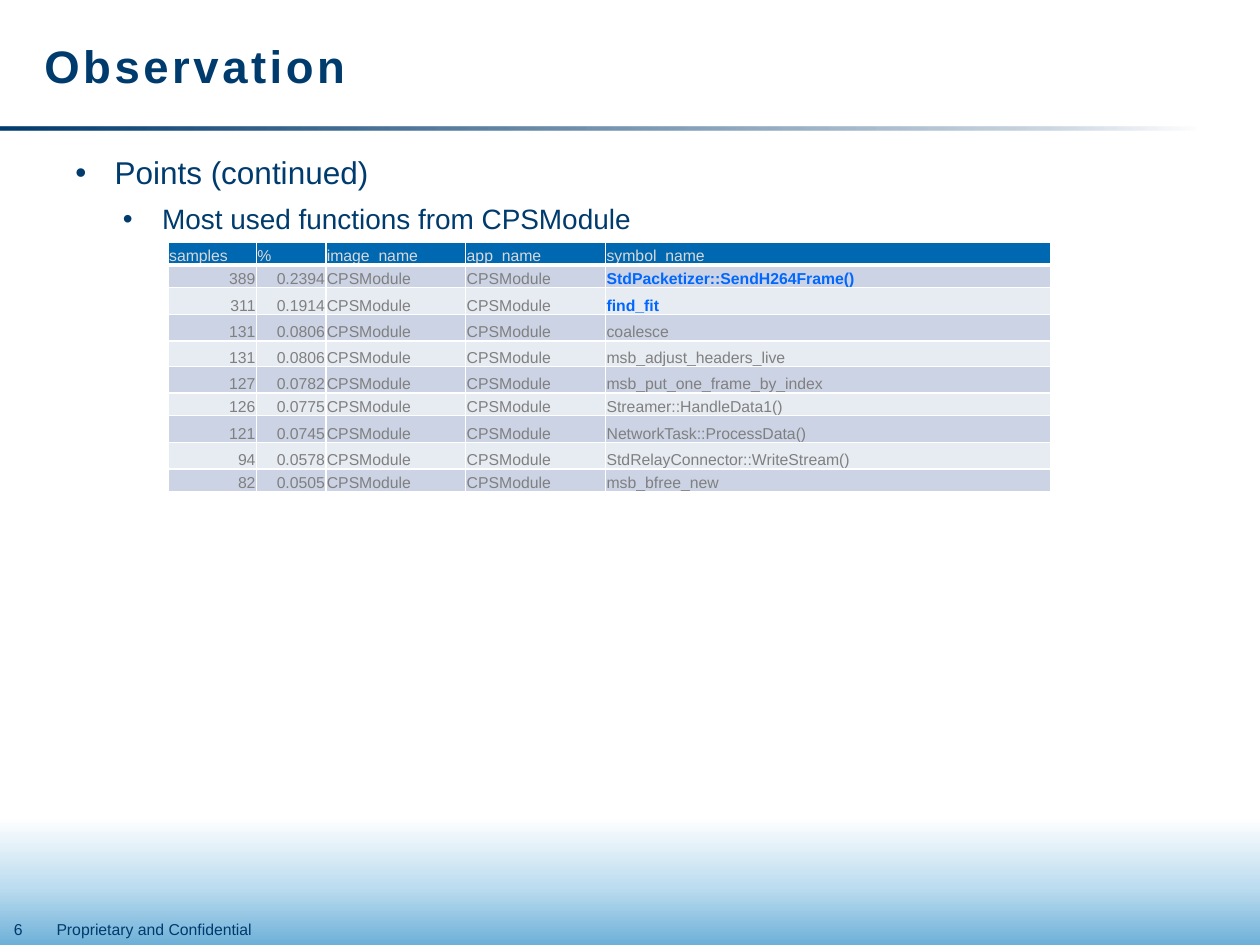
from dataclasses import dataclass

from lxml.etree import SubElement as Sub
from pptx import Presentation as Deck
from pptx.dml.color import RGBColor as RGB
from pptx.enum.shapes import MSO_SHAPE as Kind
from pptx.enum.text import MSO_ANCHOR as Anchor, MSO_AUTO_SIZE as Fit, PP_ALIGN as Align
from pptx.oxml import parse_xml as make
from pptx.oxml.ns import nsdecls, qn
from pptx.util import Cm, Pt


@dataclass(frozen=True)
class Theme:
    font: str = "Arial"
    navy: str = "003B6E"
    white: str = "FFFFFF"
    sky: str = "6EB0D8"
    mist: str = "BCDCEF"
    head: str = "0067B1"
    label: str = "D9D9D9"
    body: str = "808080"
    accent: str = "0067FF"
    bands: tuple = ("CCD3E4", "E7EBF2")
    title: int = 26
    point: int = 18
    detail: int = 16
    small: int = 9


class Page:
    def __init__(self, slide, theme):
        self.slide, self.theme = slide, theme
        self.shapes = slide.shapes
        fill = slide.background.fill
        fill.solid()
        fill.fore_color.rgb = RGB.from_string(theme.white)

    def run(self, para, text, size, color=None, bold=False):
        run = para.add_run()
        run.text = text
        font = run.font
        font.name, font.size, font.bold = self.theme.font, Pt(size), bold
        font.color.rgb = RGB.from_string(color or self.theme.navy)
        return run

    def title(self, text, *area):
        shape = self.shapes.title
        shape.left, shape.top, shape.width, shape.height = map(Cm, area)
        frame = shape.text_frame
        frame.auto_size, frame.vertical_anchor = Fit.NONE, Anchor.MIDDLE
        para = frame.paragraphs[0]
        para.alignment, para.line_spacing = Align.LEFT, Pt(30)
        run = self.run(para, text, self.theme.title, bold=True)
        run.font._element.set("spc", "200")

    def fade(self, area, stops, angle):
        """Add a rectangle with a gradient; each stop is (percent, color, opacity)."""
        shape = self.shapes.add_shape(Kind.RECTANGLE, *map(Cm, area))
        shape.shadow.inherit = False
        shape.line.fill.background()
        grad = make(f'<a:gradFill {nsdecls("a")} rotWithShape="1"/>')
        marks = Sub(grad, qn("a:gsLst"))
        for place, color, alpha in stops:
            mark = Sub(marks, qn("a:gs"), pos=str(place * 1000))
            tone = Sub(mark, qn("a:srgbClr"), val=color)
            if alpha < 100:
                Sub(tone, qn("a:alpha"), val=str(alpha * 1000))
        Sub(grad, qn("a:lin"), ang=str(angle * 60000), scaled="0")
        shape._element.spPr.find(qn("a:prstGeom")).addnext(grad)

    def box(self, area, wrap=True):
        frame = self.shapes.add_textbox(*map(Cm, area)).text_frame
        frame.word_wrap = wrap
        return frame

    def note(self, text, area, wrap=True):
        para = self.box(area, wrap).paragraphs[0]
        self.run(para, text, self.theme.small)

    def points(self, items, area):
        """Add bulleted lines; each item is (text, size, level, indent in cm)."""
        frame = self.box(area)
        for i, (text, size, level, left) in enumerate(items):
            para = frame.add_paragraph() if i else frame.paragraphs[0]
            para.level, para.space_before = level, Pt(6)
            props = para._p.get_or_add_pPr()
            props.set("marL", str(Cm(left)))
            props.set("indent", str(-Cm(0.79)))
            Sub(props, qn("a:buFont"), typeface=self.theme.font)
            Sub(props, qn("a:buChar"), char="•")
            self.run(para, text, size)

    def edge(self, cell, head):
        """Draw white cell borders, with a thick one under the header."""
        props = cell._tc.get_or_add_tcPr()
        for i, side in enumerate("LRTB"):
            width = Pt(3 if head and side == "B" else 1)
            props.insert(i, make(
                f'<a:ln{side} {nsdecls("a")} w="{width}"><a:solidFill>'
                f'<a:srgbClr val="{self.theme.white}"/></a:solidFill></a:ln{side}>'))

    def cell(self, cell, text, fill, color, bold, right, head):
        cell.fill.solid()
        cell.fill.fore_color.rgb = RGB.from_string(fill)
        cell.vertical_anchor = Anchor.BOTTOM
        cell.margin_left = cell.margin_right = cell.margin_top = Cm(0.02)
        cell.margin_bottom = 0
        para = cell.text_frame.paragraphs[0]
        para.alignment = Align.RIGHT if right else Align.LEFT
        self.run(para, text, self.theme.small, color, bold)
        self.edge(cell, head)

    def table(self, rows, spot, widths, heights, strong):
        """Fill a banded table; symbols named in strong are set bold."""
        look = self.theme
        area = (*spot, sum(widths), sum(heights))
        grid = self.shapes.add_table(len(rows), len(widths), *map(Cm, area)).table
        for col, width in zip(grid.columns, widths):
            col.width = Cm(width)
        for i, (row, height) in enumerate(zip(rows, heights)):
            grid.rows[i].height = Cm(height)
            head = i == 0
            fill = look.head if head else look.bands[(i - 1) % 2]
            for j, text in enumerate(row):
                bold = text in strong
                color = look.label if head else look.accent if bold else look.body
                self.cell(grid.cell(i, j), text, fill, color, bold,
                          not head and j < 2, head)


HEADS = ("samples", "%", "image_name", "app_name", "symbol_name")
CALLS = [
    ("389", "0.2394", "StdPacketizer::SendH264Frame()"),
    ("311", "0.1914", "find_fit"),
    ("131", "0.0806", "coalesce"),
    ("131", "0.0806", "msb_adjust_headers_live"),
    ("127", "0.0782", "msb_put_one_frame_by_index"),
    ("126", "0.0775", "Streamer::HandleData1()"),
    ("121", "0.0745", "NetworkTask::ProcessData()"),
    ("94", "0.0578", "StdRelayConnector::WriteStream()"),
    ("82", "0.0505", "msb_bfree_new"),
]
WIDTHS = (1.78, 1.4, 2.82, 2.82, 8.97)
HEIGHTS = (0.46, 0.46, 0.54, 0.53, 0.52, 0.53, 0.46, 0.54, 0.53, 0.46)


def main():
    deck = Deck()
    deck.slide_width, deck.slide_height = Cm(25.4), Cm(19.05)
    look = Theme()
    page = Page(deck.slides.add_slide(deck.slide_layouts[5]), look)

    glow = [(0, look.sky, 100), (26, look.mist, 100),
            (58, look.white, 100), (100, look.white, 100)]
    for top, height in ((14.81, 4.22), (14.6, 4.45)):
        page.fade((0, top, 25.4, height), glow, 270)
    rule = [(0, look.navy, 100), (88, look.navy, 20), (100, look.navy, 0)]
    page.fade((0, 2.56, 24.13, 0.06), rule, 0)

    page.note("Proprietary and Confidential", (0.89, 18.42, 4.57, 0.63), wrap=False)
    page.note("6", (0.03, 18.42, 1.24, 0.63))
    page.title("Observation", 0.64, 0.13, 22.86, 2.41)
    page.points([("Points (continued)", look.point, 0, 0.79),
                 ("Most used functions from CPSModule", look.detail, 1, 1.75)],
                (1.27, 2.97, 24.13, 15.44))

    rows = [HEADS] + [(count, share, "CPSModule", "CPSModule", name)
                      for count, share, name in CALLS]
    strong = {name for _, _, name in CALLS[:2]}
    page.table(rows, (3.39, 4.88), WIDTHS, HEIGHTS, strong)
    deck.save("out.pptx")


if __name__ == "__main__":
    main()
